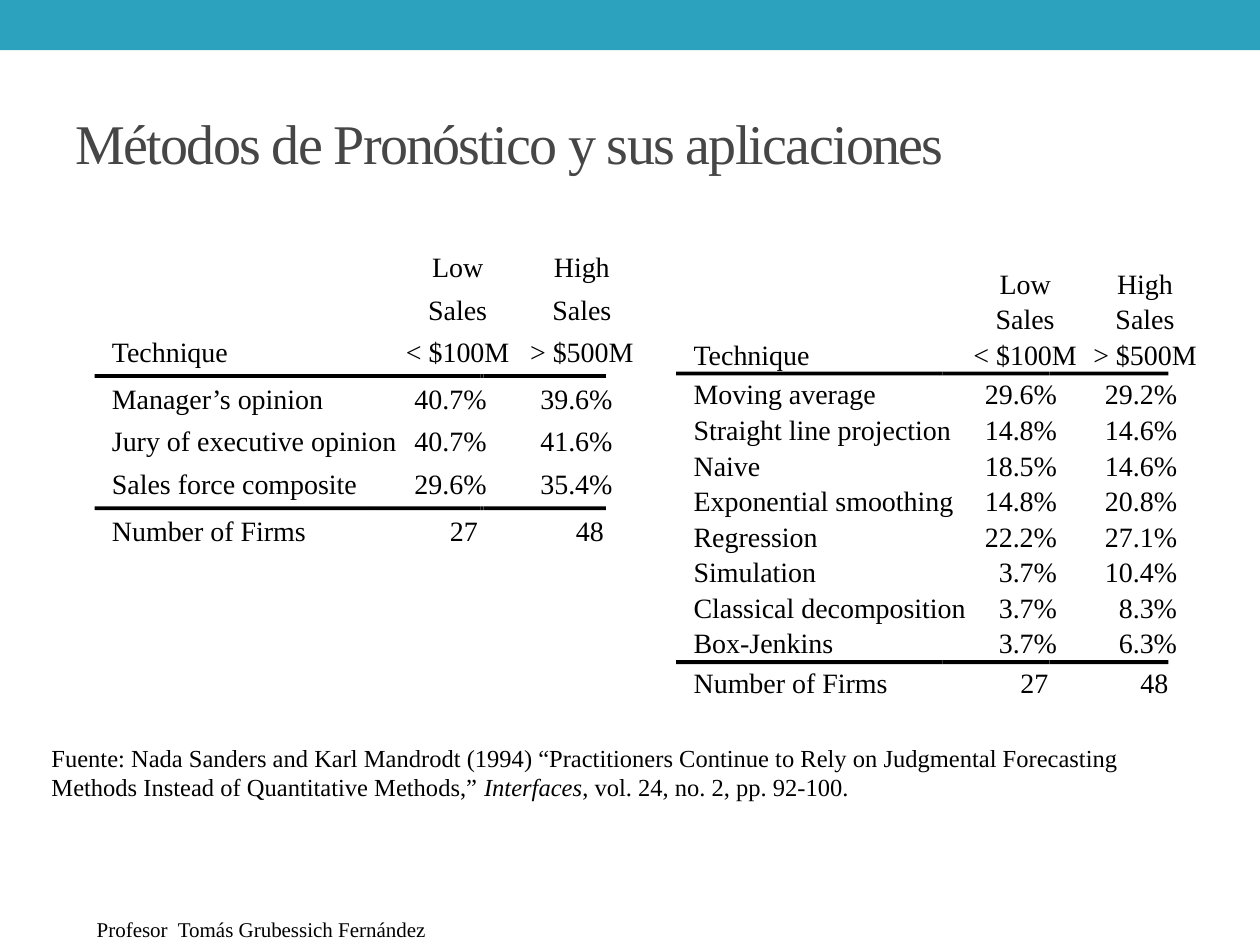
"""Build a slide with two tables on the use of forecasting techniques."""
import pptx
import pptx.dml.color
import pptx.enum.shapes
import pptx.enum.text
import pptx.util

Pt = pptx.util.Pt
ALIGN = pptx.enum.text.PP_ALIGN
ANCHOR = pptx.enum.text.MSO_ANCHOR
FONT, BLACK = "Times New Roman", "000000"

TITLE = "Métodos de Pronóstico y sus aplicaciones"
FOOTER = "Profesor  Tomás Grubessich Fernández"
SOURCE = [
    ("Fuente: Nada Sanders and Karl Mandrodt (1994) “Practitioners Continue to Rely on "
     "Judgmental Forecasting Methods Instead of Quantitative Methods,” ", False),
    ("Interfaces", True),
    (", vol. 24, no. 2, pp. 92-100.", False),
]
HEADER = [["Technique"], ["Low", "Sales", "< $100M"], ["High", "Sales", "> $500M"]]
TOTAL = ["Number of Firms", "27", "48"]
JUDGMENTAL = [
    ("Manager’s opinion", "40.7%", "39.6%"),
    ("Jury of executive opinion", "40.7%", "41.6%"),
    ("Sales force composite", "29.6%", "35.4%"),
]
QUANTITATIVE = [
    ("Moving average", "29.6%", "29.2%"),
    ("Straight line projection", "14.8%", "14.6%"),
    ("Naive", "18.5%", "14.6%"),
    ("Exponential smoothing", "14.8%", "20.8%"),
    ("Regression", "22.2%", "27.1%"),
    ("Simulation", "3.7%", "10.4%"),
    ("Classical decomposition", "3.7%", "8.3%"),
    ("Box-Jenkins", "3.7%", "6.3%"),
]
TABLES = [
    dict(body=JUDGMENTAL, left=54, top=135.5, rules=(214.9, 290.5), widths=(174, 67, 75),
         rights=(17, 20), segments=(157, 1.6, 62, 1.6, 70), pitch=24.25, above=3.2, below=5.8),
    dict(body=QUANTITATIVE, left=386.4, top=149.8, rules=(213.5, 378.4),
         widths=(166.2, 66.4, 70.6), rights=(15, 17), segments=(150.7, 1.6, 59.6, 1.6, 67.8),
         pitch=20.35, above=1.8, below=2.9),
]


def rgb(value):
    return pptx.dml.color.RGBColor.from_string(value)


def style(font, size, color=BLACK):
    font.name, font.size, font.color.rgb = FONT, Pt(size), rgb(color)


def add_bar(slide, left, top, width, height, color):
    sp = slide.shapes.add_shape(pptx.enum.shapes.MSO_SHAPE.RECTANGLE,
                                Pt(left), Pt(top), Pt(width), Pt(height))
    sp.shadow.inherit = False
    sp.fill.solid()
    sp.fill.fore_color.rgb = rgb(color)
    sp.line.fill.background()


def fill_cell(cell, lines, align, margins):
    cell.fill.background()
    cell.margin_left, cell.margin_top, cell.margin_right, cell.margin_bottom = map(Pt, margins)
    cell.text = "\n".join(lines)
    for p in cell.text_frame.paragraphs:
        p.alignment = align
        style(p.font, 16)


def add_technique_table(slide, body, left, top, rules, widths, rights, segments,
                        pitch, above, below):
    first, second = rules
    last = second - first - pitch * (len(body) - 1)
    header_height = 81 if pitch > 24 else 65.5
    heights = [header_height] + [pitch] * (len(body) - 1) + [last, 24]
    table = slide.shapes.add_table(len(heights), len(widths), Pt(left), Pt(top),
                                   Pt(sum(widths)), Pt(sum(heights))).table
    table.first_row = table.horz_banding = False
    for column, width in zip(table.columns, widths):
        column.width = Pt(width)
    for row, height in zip(table.rows, heights):
        row.height = Pt(height)
    for c, lines in enumerate(HEADER):
        cell = table.cell(0, c)
        fill_cell(cell, lines, ALIGN.CENTER if c else ALIGN.LEFT, (0 if c else 10, 0, 0, below))
        cell.vertical_anchor = ANCHOR.BOTTOM
        for p in cell.text_frame.paragraphs:
            p.line_spacing = Pt(pitch)
    for r, (name, *values) in enumerate([*body, TOTAL], 1):
        fill_cell(table.cell(r, 0), [name], ALIGN.LEFT, (10, above, 0, 0))
        indent = 5 if r > len(body) else 0
        for c, (value, right) in enumerate(zip(values, rights), 1):
            fill_cell(table.cell(r, c), [value], ALIGN.RIGHT, (0, above, right + indent, 0))
    for y in rules:
        x = left
        for length in segments:
            add_bar(slide, x, y - 1.1, length, 2.2, BLACK)
            x += length


def add_text(slide, box, runs, size):
    tf = slide.shapes.add_textbox(*map(Pt, box)).text_frame
    tf.word_wrap = True
    p = tf.paragraphs[0]
    style(p.font, size)
    for text, italic in runs:
        r = p.add_run()
        r.text = text
        if italic:
            r.font.italic = True


def add_title(slide):
    sp = slide.shapes.title
    sp.left, sp.top, sp.width, sp.height = map(Pt, (36, 42.2, 648, 77.8))
    tf = sp.text_frame
    tf.text = TITLE
    tf.vertical_anchor = ANCHOR.MIDDLE
    p = tf.paragraphs[0]
    p.alignment = ALIGN.LEFT
    style(p.font, 32, "464646")
    p.runs[0].font._element.set("spc", "-100")


def main():
    prs = pptx.Presentation()
    prs.slide_width, prs.slide_height = Pt(720), Pt(540)
    slide = prs.slides.add_slide(prs.slide_layouts[5])
    add_bar(slide, 0, 0, 720, 28.6, "2DA2BF")
    add_title(slide)
    for table in TABLES:
        add_technique_table(slide, **table)
    add_text(slide, (22.3, 421, 649.4, 57.6), SOURCE, 14)
    add_text(slide, (48.2, 520.2, 623.5, 21.6), [(FOOTER, False)], 12)
    prs.save("out.pptx")


if __name__ == "__main__":
    main()
